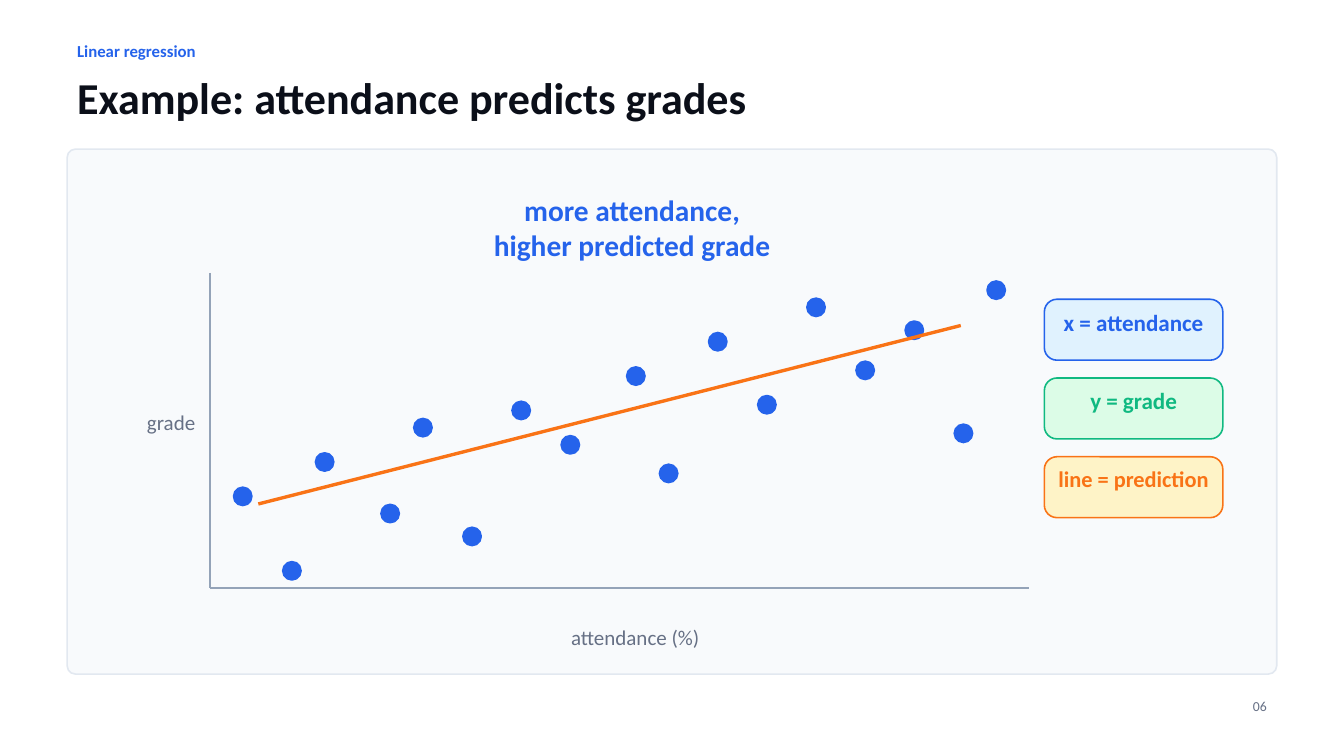
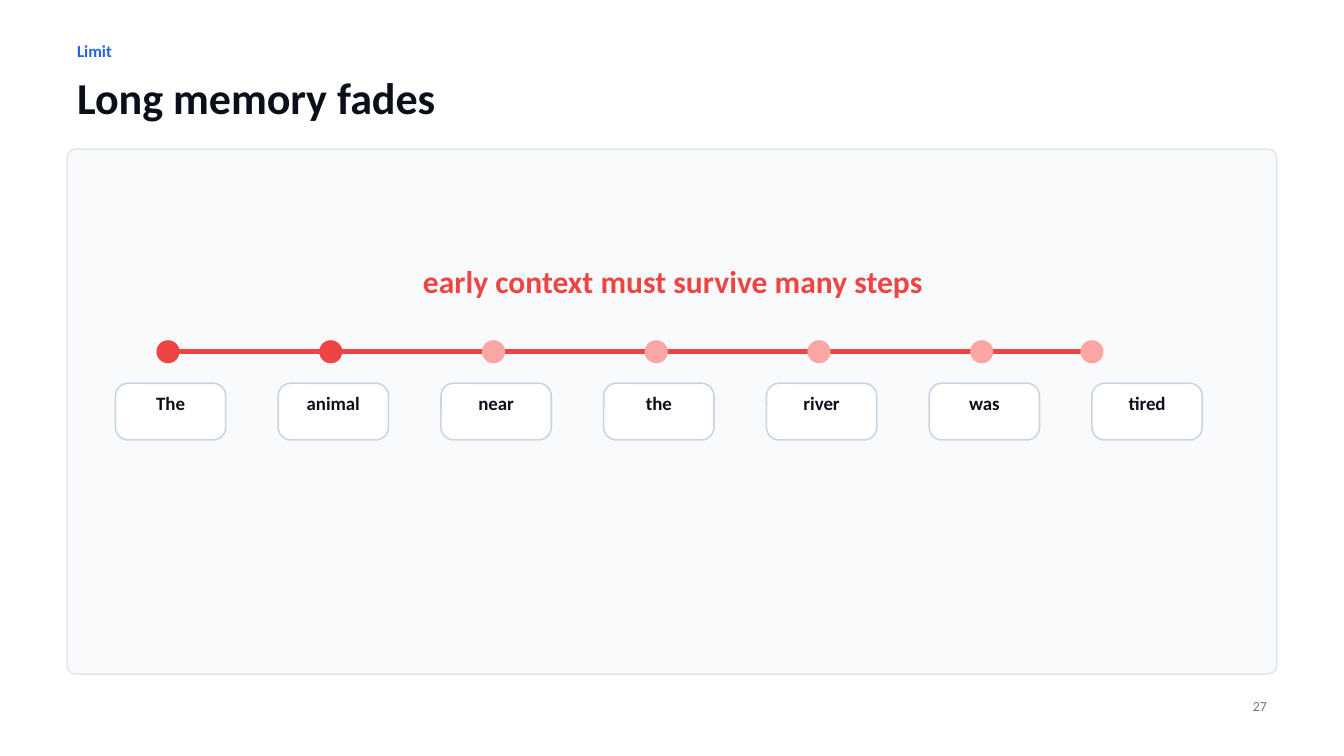
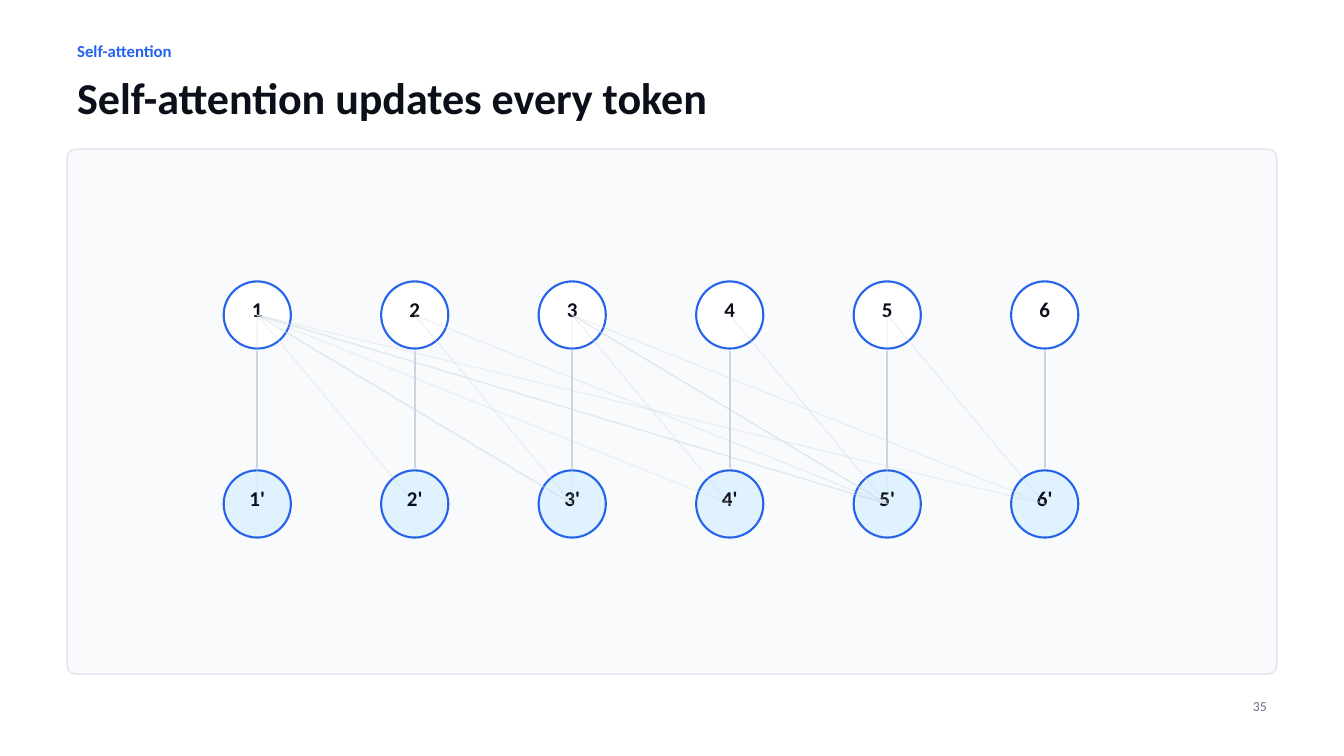
"""Build three slides on regression, fading memory and self-attention."""
from dataclasses import dataclass
from typing import NamedTuple

from lxml import etree
from pptx import Presentation
from pptx.dml.color import RGBColor
from pptx.enum.shapes import MSO_CONNECTOR, MSO_SHAPE
from pptx.enum.text import MSO_ANCHOR, PP_ALIGN
from pptx.oxml.ns import qn
from pptx.util import Pt


@dataclass(frozen=True)
class Theme:
    """Colours, type sizes and line widths of the deck."""
    font: str = "Calibri"
    ink: str = "0B0F19"
    muted: str = "667085"
    white: str = "FFFFFF"
    panel: str = "F8FAFC"
    panel_edge: str = "E2E8F0"
    edge: str = "CBD5E1"
    axis: str = "94A3B8"
    blue: str = "2563EB"
    sky: str = "E0F2FE"
    green: str = "10B981"
    mint: str = "DCFCE7"
    orange: str = "F97316"
    cream: str = "FEF3C7"
    red: str = "EF4444"
    pink: str = "FCA5A5"
    page: float = 9.8
    eyebrow: float = 12
    token: float = 13.5
    label: float = 15
    key_small: float = 16
    key: float = 16.5
    note: float = 21
    warning: float = 22.5
    title: float = 31.5
    hairline: float = 0.75
    thin: float = 1.13
    line: float = 1.5
    trend: float = 2.4
    track: float = 3.75


class Box(NamedTuple):
    """A rectangle in points."""
    x: float
    y: float
    w: float
    h: float

    def inner(self, dx, dy, w, h):
        """Return a box offset from this one's top left corner."""
        return Box(self.x + dx, self.y + dy, w, h)

    def lengths(self):
        """Return the four values as lengths."""
        return [Pt(value) for value in self]


T = Theme()
PAGE = Box(0, 0, 960, 540)
PANEL = Box(48, 106.5, 864, 375)


def rgb(color):
    """Turn a hex string into a colour."""
    return RGBColor.from_string(color)


def write(frame, text, size, color, bold=True, align=PP_ALIGN.CENTER):
    """Write one paragraph per line of text."""
    frame.word_wrap = True
    frame.vertical_anchor = MSO_ANCHOR.TOP
    for index, words in enumerate(text.split("\n")):
        paragraph = frame.add_paragraph() if index else frame.paragraphs[0]
        paragraph.alignment = align
        run = paragraph.add_run()
        run.text = words
        run.font.name, run.font.size, run.font.bold = T.font, Pt(size), bold
        run.font.color.rgb = rgb(color)


def add_text(slide, box, text, size, color, **style):
    """Add a text box."""
    frame = slide.shapes.add_textbox(*box.lengths()).text_frame
    write(frame, text, size, color, **style)


def add_filled(slide, kind, box, fill, edge, width):
    """Add a preset shape with a fill and an outline."""
    shape = slide.shapes.add_shape(kind, *box.lengths())
    shape.shadow.inherit = False
    shape.fill.solid()
    shape.fill.fore_color.rgb = rgb(fill)
    shape.line.color.rgb = rgb(edge)
    shape.line.width = Pt(width)
    return shape


def add_card(slide, box, radius, fill, edge):
    """Add a rectangle with the given corner radius."""
    card = add_filled(slide, MSO_SHAPE.ROUNDED_RECTANGLE, box, fill, edge, T.thin)
    card.adjustments[0] = radius / min(box.w, box.h)
    return card


def add_circle(slide, x, y, diameter, fill, edge):
    """Add a circle around a centre."""
    box = Box(x - diameter / 2, y - diameter / 2, diameter, diameter)
    return add_filled(slide, MSO_SHAPE.OVAL, box, fill, edge, T.line)


def add_line(slide, start, end, color, width, opacity=100):
    """Add a straight line between two points."""
    line = slide.shapes.add_connector(
        MSO_CONNECTOR.STRAIGHT, *[Pt(value) for value in (*start, *end)])
    line.line.color.rgb = rgb(color)
    line.line.width = Pt(width)
    properties = line._element.spPr
    etree.SubElement(properties, qn("a:effectLst"))
    if opacity < 100:
        tint = properties.find(".//" + qn("a:srgbClr"))
        etree.SubElement(tint, qn("a:alpha"), val=str(opacity * 1000))


def add_frame(deck, eyebrow, title, number):
    """Add a slide with its heading, panel and page number."""
    slide = deck.slides.add_slide(deck.slide_layouts[6])
    add_text(slide, Box(48, 25.5, 315, 22.5), eyebrow, T.eyebrow, T.blue,
             align=PP_ALIGN.LEFT)
    add_text(slide, Box(48, 46.8, 735, 46.5), title, T.title, T.ink,
             align=PP_ALIGN.LEFT)
    add_card(slide, PANEL, 6, T.panel, T.panel_edge)
    add_text(slide, Box(874.5, 495, 37.5, 18), number, T.page, T.muted,
             bold=False, align=PP_ALIGN.RIGHT)
    return slide


def draw_scatter(slide, box):
    """Plot grades against attendance with a trend line."""
    top_grade = 55
    students = [(4, 16), (10, 3), (14, 22), (22, 13), (26, 28), (32, 9),
                (38, 31), (44, 25), (52, 37), (56, 20), (62, 43), (68, 32),
                (74, 49), (80, 38), (86, 45), (92, 27), (96, 52)]

    def place(attendance, grade):
        """Map a pair of values to a point in the plot."""
        return (box.x + box.w * attendance / 100,
                box.y + box.h * (1 - grade / top_grade))

    origin = place(0, 0)
    add_line(slide, origin, place(100, 0), T.axis, T.line)
    add_line(slide, place(0, top_grade), origin, T.axis, T.line)
    add_text(slide, box.inner(225, box.h + 22.5, 157.5, 21), "attendance (%)",
             T.label, T.muted, bold=False)
    add_text(slide, box.inner(-54, 93.75, 52.5, 21), "grade",
             T.label, T.muted, bold=False)
    for student in students:
        add_circle(slide, *place(*student), 12.75, T.blue, T.blue)
    add_line(slide, place(5.9, 14.67), place(91.67, 45.83), T.orange, T.trend)


def draw_key(slide, box):
    """Stack the cards that explain the plot."""
    entries = [("x = attendance", T.key, T.sky, T.blue),
               ("y = grade", T.key, T.mint, T.green),
               ("line = prediction", T.key_small, T.cream, T.orange)]
    height = 43.5
    step = (box.h - height) / (len(entries) - 1)
    for row, (text, size, fill, color) in enumerate(entries):
        card = add_card(slide, box.inner(0, row * step, box.w, height), 9, fill, color)
        write(card.text_frame, text, size, color)


def draw_memory(slide, box):
    """Draw a row of word cards under a fading track of dots."""
    words = "The animal near the river was tired".split()
    card_width, card_height, dot_x, dot_y = 78.75, 40.5, 37.5, 7.5
    step = (box.w - card_width) / (len(words) - 1)
    start, end, track = box.x + dot_x, box.x + box.w - card_width, box.y + dot_y
    for index, word in enumerate(words):
        card = add_card(slide, box.inner(index * step, box.h - card_height,
                                         card_width, card_height),
                        9, T.white, T.edge)
        write(card.text_frame, word, T.token, T.ink)
    add_line(slide, (start, track), (end, track), T.red, T.track)
    for index in range(len(words)):
        color = T.red if index < 2 else T.pink
        add_circle(slide, min(start + index * step, end), track, 15, color, color)


def draw_attention(slide, box):
    """Link a row of tokens to the row of updated tokens."""
    count, diameter, reach = 6, 48, 26
    step = (box.w - diameter) / (count - 1)
    columns = [box.x + diameter / 2 + index * step for index in range(count)]
    top, bottom = box.y + diameter / 2, box.y + box.h - diameter / 2
    for y, fill, mark in ((top, T.white, ""), (bottom, T.sky, "'")):
        for number, x in enumerate(columns, 1):
            token = add_circle(slide, x, y, diameter, fill, T.blue)
            write(token.text_frame, f"{number}{mark}", T.label, T.ink)
    for x in columns:
        add_line(slide, (x, top + reach), (x, bottom - reach), T.edge, T.line)
    for token in range(count):
        for anchor in (0, 2, 4):
            first, last = sorted((token, anchor))
            add_line(slide, (columns[first], top), (columns[last], bottom),
                     T.edge, T.hairline, opacity=35)


def build_regression(deck):
    """Build the linear regression slide."""
    slide = add_frame(deck, "Linear regression",
                      "Example: attendance predicts grades", "06")
    draw_scatter(slide, PANEL.inner(102, 88.5, 585, 225))
    draw_key(slide, PANEL.inner(698, 107.25, 127.5, 156))
    add_text(slide, PANEL.inner(208.5, 27, 390, 45),
             "more attendance,\nhigher predicted grade", T.note, T.blue)


def build_memory(deck):
    """Build the fading memory slide."""
    slide = add_frame(deck, "Limit", "Long memory fades", "27")
    draw_memory(slide, PANEL.inner(34.5, 137.25, 776.25, 70.5))
    add_text(slide, PANEL.inner(196.5, 77.25, 472.5, 30),
             "early context must survive many steps", T.warning, T.red)


def build_attention(deck):
    """Build the self-attention slide."""
    slide = add_frame(deck, "Self-attention",
                      "Self-attention updates every token", "35")
    draw_attention(slide, PANEL.inner(111.75, 94.5, 610.5, 183))


def main():
    """Build and save the deck."""
    deck = Presentation()
    deck.slide_width, deck.slide_height = Pt(PAGE.w), Pt(PAGE.h)
    for build in (build_regression, build_memory, build_attention):
        build(deck)
    deck.save("out.pptx")


main()
